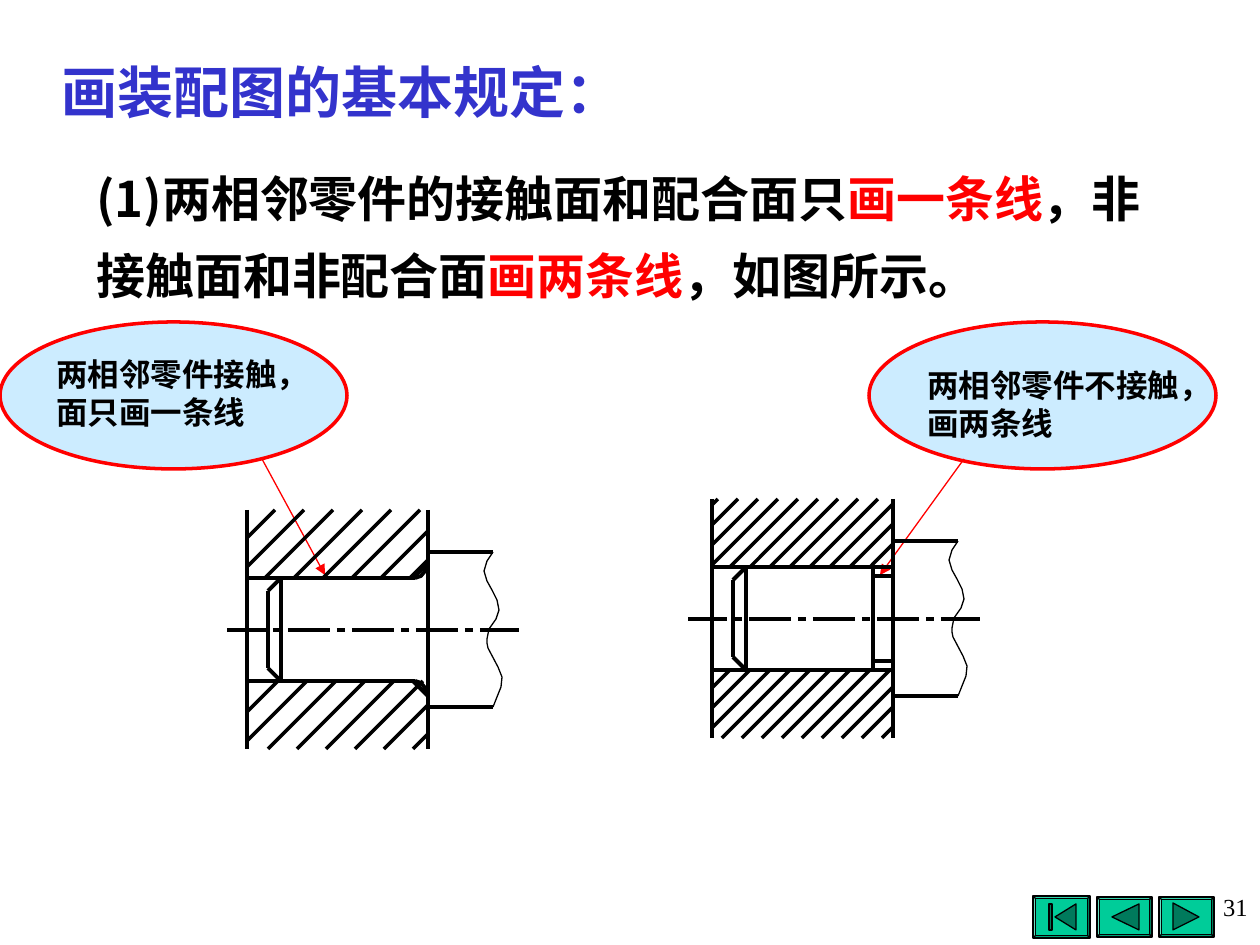
from pptx import Presentation
from pptx.dml.color import RGBColor
from pptx.enum.shapes import MSO_CONNECTOR as Connector, MSO_SHAPE as Preset
from pptx.enum.text import MSO_ANCHOR as Anchor, PP_ALIGN as Align
from pptx.oxml.ns import qn
from pptx.util import Emu, Pt
from lxml.etree import SubElement

SCALE = 914400 / 126  # EMU per px
BLACK = RGBColor(0x00, 0x00, 0x00)
RED = RGBColor(0xFF, 0x00, 0x00)
BLUE = RGBColor(0x33, 0x33, 0xCC)
PALE = RGBColor(0xCC, 0xEC, 0xFF)
GREEN = RGBColor(0x00, 0xCC, 0x99)
DARK_GREEN = RGBColor(0x00, 0x7A, 0x5C)
SERIF = "Times New Roman"
SANS = "Noto Sans CJK SC"
THICK, HAIR = 2.25, 0

# Section drawing sizes, measured from its top left corner
WALL, HEIGHT, BORE, COLLAR, COLLAR_END = 181, 239, 68, 42, 246
BREAK_EDGE = [(0, 0), (-6, 9), (-9, 19), (-6, 29), (-1, 38), (4, 48),
              (5, 53), (6, 58), (3, 67), (-4, 77), (-6, 87), (-6, 91),
              (-5, 96), (5, 115), (9, 125), (8, 135), (0, 155)]


def px(*lengths):
    return [Emu(round(length * SCALE)) for length in lengths]


def paint(shape, fill, color, width):
    shape.shadow.inherit = False
    if fill is None:
        shape.fill.background()
    else:
        shape.fill.solid()
        shape.fill.fore_color.rgb = fill
    shape.line.color.rgb = color
    shape.line.width = Pt(width)


def add_line(page, start, end, width, color=BLACK, arrow=False):
    line = page.shapes.add_connector(Connector.STRAIGHT, *px(*start, *end))
    line.line.color.rgb = color
    line.line.width = Pt(width)
    properties = line._element.spPr
    if arrow:
        SubElement(properties.find(qn("a:ln")), qn("a:tailEnd"), type="triangle")
    SubElement(properties, qn("a:effectLst"))


def add_outline(page, points, width, fill=None):
    builder = page.shapes.build_freeform(*points[0], scale=SCALE)
    builder.add_line_segments(points[1:], close=fill is not None)
    paint(builder.convert_to_shape(), fill, BLACK, width)


def add_text(page, box, spans, size, bold=True, anchor=Anchor.TOP,
             align=Align.LEFT, spacing=None):
    """Each span is (text, color, font name)."""
    frame = page.shapes.add_textbox(*px(*box)).text_frame
    frame.word_wrap = True
    frame.vertical_anchor = anchor
    para = frame.paragraphs[0]
    para.alignment = align
    para.line_spacing = spacing
    for text, color, name in spans:
        span = para.add_run()
        span.text = text
        span.font.name = name
        span.font.size = Pt(size)
        span.font.bold = bold
        span.font.color.rgb = color


def add_button(page, box, icons):
    left, top, width, height = box
    button = page.shapes.add_shape(Preset.BEVEL, *px(*box))
    button.adjustments[0] = 0.06
    paint(button, GREEN, BLACK, 0.75)
    for icon in icons:
        add_outline(page, [(left + x, top + y) for x, y in icon], 0.75, DARK_GREEN)


def add_callout(page, box, text, text_offset, leader):
    left, top, width, height = box
    ellipse = page.shapes.add_shape(Preset.OVAL, *px(*box))
    paint(ellipse, PALE, RED, 2)
    add_line(page, *leader, 0.75, RED, arrow=True)
    x, y = text_offset
    add_text(page, (left + x, top + y, 294, 88), [(text, BLACK, SERIF)], 18)


def add_section(page, left, top, contact, hatch_starts, pitch, axis_middle):
    """A shaft in a bored wall; in contact with the shoulder or relieved."""
    def at(x, y):
        return left + x, top + y

    def line(x1, y1, x2, y2, width=THICK):
        add_line(page, at(x1, y1), at(x2, y2), width)

    # Wall faces and shaft end
    for x in (0, WALL):
        line(x, 0, x, HEIGHT)
    line(34, BORE, 34, HEIGHT - BORE)
    line(21, BORE + 13, 21, HEIGHT - BORE - 13)

    # Lines mirrored about the axis
    def mirrored(x1, y1, x2, y2):
        line(x1, y1, x2, y2)
        line(x1, HEIGHT - y1, x2, HEIGHT - y2)

    mirrored(0, BORE, 168 if contact else WALL, BORE)
    mirrored(34, BORE, 21, BORE + 13)
    mirrored(WALL, COLLAR, COLLAR_END, COLLAR)
    if contact:
        mirrored(WALL, 53, 166, BORE)
        fillet = [(168, BORE), (174, 66), (179, 60), (WALL, 54)]
        add_outline(page, [at(x, y) for x, y in fillet], THICK)
        add_outline(page, [at(x, HEIGHT - y) for x, y in fillet], THICK)
    else:
        line(161, BORE, 161, HEIGHT - BORE)
        mirrored(161, 77, WALL, 77)

    # Centre line: long end dashes, then short and long in turn
    axis = 120
    for side in (-1, 1):
        line(axis_middle + side * 107, axis, axis_middle + side * 146, axis, HAIR)
    for step in range(4):
        short = axis_middle - 96 + 64 * step
        line(short - 4, axis, short + 4, axis, HAIR)
    for step in range(3):
        long = axis_middle - 64 + 64 * step
        line(long - 21, axis, long + 21, axis, HAIR)

    # Hatching at 45 degrees, cut off at the edges of each band
    bands = ((0, BORE), (HEIGHT - BORE, HEIGHT))
    for start, (upper, lower) in zip(hatch_starts, bands):
        for total in range(start, WALL + lower - 5, pitch):
            x1, x2 = max(0, total - lower), min(WALL, total - upper)
            line(x1, total - x1, x2, total - x2, HAIR)

    # Broken end of the collar
    add_outline(page, [at(COLLAR_END + x, COLLAR + y) for x, y in BREAK_EDGE], HAIR)


def main():
    deck = Presentation()
    deck.slide_width, deck.slide_height = px(1260, 945)
    page = deck.slides.add_slide(deck.slide_layouts[6])

    # Navigation buttons
    add_button(page, (1159, 897, 55, 40), [[(14, 6), (40, 20), (14, 33)]])
    add_button(page, (1097, 897, 55, 40), [[(15, 20), (42, 7), (42, 33)]])
    add_button(page, (1033, 896, 57, 42),
               [[(22, 21), (43, 8), (43, 34)],
                [(16, 8), (19, 8), (19, 34), (16, 34)]])

    # Title and rule
    add_text(page, (49, 55, 605, 72), [("画装配图的基本规定：", BLUE, SERIF)], 32,
             anchor=Anchor.MIDDLE)
    add_text(page, (84, 145, 1072, 166), [
        ("(1)", BLACK, SANS),
        ("两相邻零件的接触面和配合面只", BLACK, SERIF),
        ("画一条线", RED, SERIF),
        ("，非接触面和非配合面", BLACK, SERIF),
        ("画两条线", RED, SERIF),
        ("，如图所示。", BLACK, SERIF),
    ], 28, spacing=1.3)

    # Callouts
    add_callout(page, (869, 322, 347, 147), "两相邻零件不接触，画两条线",
                (46, 38), ((964, 459), (880, 575)))
    add_callout(page, (0, 322, 347, 147), "两相邻零件接触，面只画一条线",
                (44, 27), ((262, 459), (325, 575)))

    # Section drawings
    add_section(page, 247, 510, True, (28, 173), 29, 126)
    add_section(page, 712, 499, False, (6, 189), 20, 122)

    # Page number
    add_text(page, (942, 886, 318, 77), [("31", BLACK, SERIF)], 14,
             bold=False, align=Align.RIGHT)
    deck.save("out.pptx")


if __name__ == "__main__":
    main()
